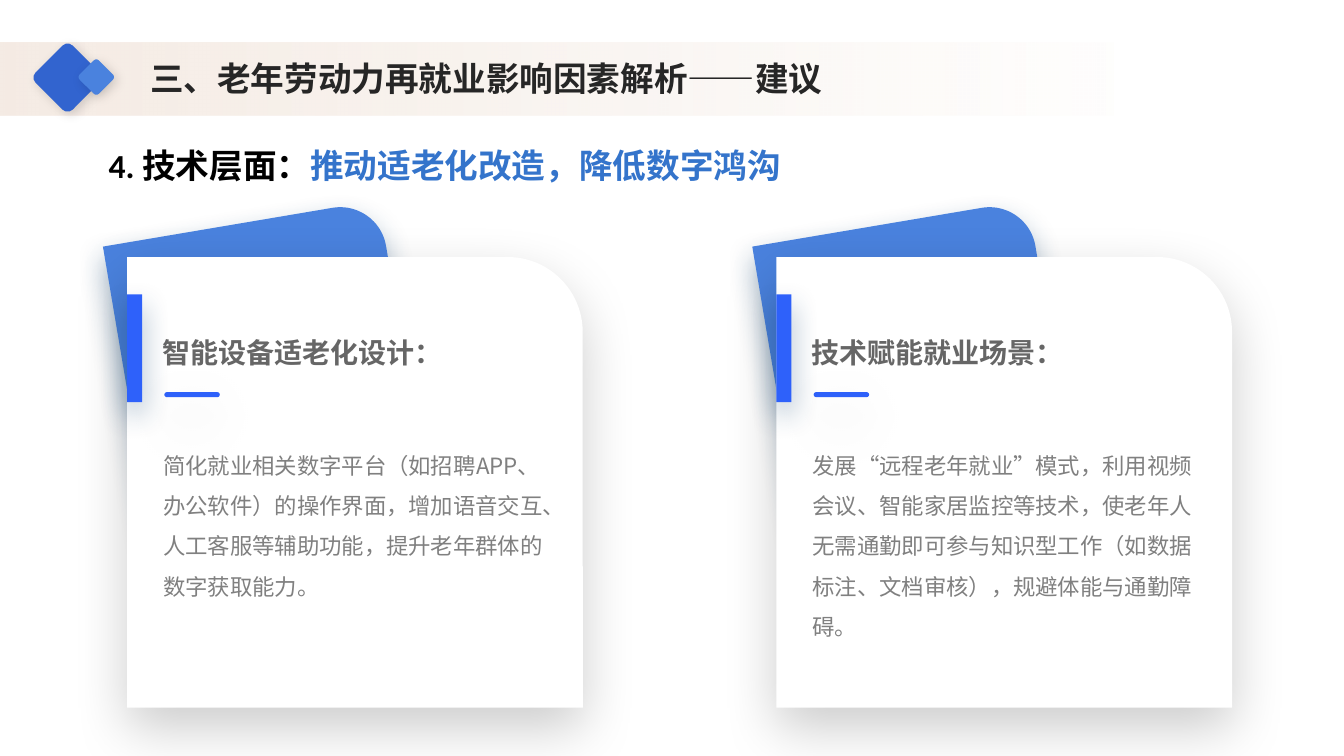
"""Build the slide on technology measures for older workers."""
from dataclasses import dataclass
from typing import Optional

from lxml import etree
from pptx import Presentation
from pptx.dml.color import RGBColor
from pptx.enum.shapes import MSO_SHAPE
from pptx.enum.text import MSO_AUTO_SIZE
from pptx.oxml.ns import qn
from pptx.util import Pt

PX = 9144
RECT = MSO_SHAPE.RECTANGLE
ROUNDED = MSO_SHAPE.ROUNDED_RECTANGLE
ONE_ROUND = MSO_SHAPE.ROUND_1_RECTANGLE
FIT = MSO_AUTO_SIZE.SHAPE_TO_FIT_TEXT

CJK = "Noto Sans CJK SC"
LATIN = "Calibri"
WHITE = RGBColor(0xFF, 0xFF, 0xFF)
BLACK = RGBColor(0x00, 0x00, 0x00)
SAND = RGBColor(0xE6, 0xCE, 0xBC)
DEEP_BLUE = RGBColor(0x32, 0x64, 0xCF)
SOFT_BLUE = RGBColor(0x4A, 0x82, 0xDE)
VIVID_BLUE = RGBColor(0x2E, 0x61, 0xFA)
TEXT_BLUE = RGBColor(0x34, 0x74, 0xCB)
NAVY = RGBColor(0x1F, 0x4E, 0x79)
TITLE_INK = RGBColor(0x26, 0x26, 0x26)
HEADING_GREY = RGBColor(0x66, 0x66, 0x66)
BODY_GREY = RGBColor(0x80, 0x80, 0x80)


@dataclass(frozen=True)
class Shadow:
    color: RGBColor
    alpha: int
    blur: int
    distance: int
    angle: int


@dataclass(frozen=True)
class Block:
    kind: int
    left: int
    top: int
    width: int
    height: int
    color: RGBColor
    shadow: Optional[Shadow] = None
    rotation: float = 0
    corner: Optional[float] = None


@dataclass(frozen=True)
class Label:
    left: int
    top: int
    width: int
    height: int
    runs: tuple[tuple[str, RGBColor], ...]
    size: int
    bold: bool = True
    font: str = CJK
    spacing: Optional[float] = None


@dataclass(frozen=True)
class Card:
    left: int
    heading: str
    body: str
    body_height: int


ICON_SHADOW = Shadow(BLACK, 15, 8, 3, 45)
NAVY_SHADOW = Shadow(NAVY, 40, 20, 9, 90)
WIDE_SHADOW = Shadow(BLACK, 20, 40, 15, 90)

ICON = (
    Block(ROUNDED, 41, 51, 52, 52, DEEP_BLUE, ICON_SHADOW, 45, 0.136),
    Block(ROUNDED, 82, 63, 27, 27, SOFT_BLUE, ICON_SHADOW, 45, 0.136),
)
BAND = Block(RECT, 0, 42, 1333, 73, SAND)
BAND_END = Block(RECT, 1105, 30, 217, 115, WHITE)
TITLE = Label(139, 53, 857, 50,
              (("三、老年劳动力再就业影响因素解析——建议", TITLE_INK),), 24)
SUBTITLE = Label(98, 139, 820, 50,
                 (("4. 技术层面：", BLACK),
                  ("推动适老化改造，降低数字鸿沟", TEXT_BLUE)), 24, font=LATIN)
CARDS = (
    Card(126, "智能设备适老化设计：",
         "简化就业相关数字平台（如招聘APP、办公软件）的操作界面，"
         "增加语音交互、人工客服等辅助功能，提升老年群体的数字获取能力。", 172),
    Card(770, "技术赋能就业场景：",
         "发展“远程老年就业”模式，利用视频会议、智能家居监控等技术，"
         "使老年人无需通勤即可参与知识型工作（如数据标注、文档审核），"
         "规避体能与通勤障碍。", 212),
)


def add_shadow(sp, shadow: Shadow) -> None:
    """Give a shape a soft outer shadow."""
    effects = sp._element.spPr.find(qn("a:effectLst"))
    outer = etree.SubElement(
        effects, qn("a:outerShdw"), blurRad=str(Pt(shadow.blur)),
        dist=str(Pt(shadow.distance)), dir=str(shadow.angle * 60000),
        algn="ctr", rotWithShape="0")
    color = etree.SubElement(outer, qn("a:srgbClr"), val=str(shadow.color))
    etree.SubElement(color, qn("a:alpha"), val=str(shadow.alpha * 1000))


def add_block(shapes, block: Block):
    """Draw a filled shape without an outline."""
    sp = shapes.add_shape(block.kind, block.left * PX, block.top * PX,
                          block.width * PX, block.height * PX)
    sp.rotation = block.rotation
    if block.corner is not None:
        sp.adjustments[0] = block.corner
    sp.fill.solid()
    sp.fill.fore_color.rgb = block.color
    sp.line.fill.background()
    sp.shadow.inherit = False
    if block.shadow:
        add_shadow(sp, block.shadow)
    return sp


def add_label(shapes, label: Label) -> None:
    """Draw a one-paragraph text box."""
    sp = shapes.add_textbox(label.left * PX, label.top * PX,
                            label.width * PX, label.height * PX)
    tf = sp.text_frame
    tf.word_wrap = True
    tf.auto_size = FIT
    p = tf.paragraphs[0]
    if label.spacing:
        p.line_spacing = label.spacing
    p.font.size = Pt(label.size)
    p.font.bold = label.bold
    p.font.name = label.font
    etree.SubElement(p._p.pPr.find(qn("a:defRPr")), qn("a:ea"), typeface=CJK)
    if len(label.runs) == 1:
        p.font.color.rgb = label.runs[0][1]
    for text, color in label.runs:
        r = p.add_run()
        r.text = text
        if len(label.runs) > 1:
            r.font.color.rgb = color


def add_band(shapes) -> None:
    """Draw the title band that fades out to the right."""
    sp = add_block(shapes, BAND)
    sp.fill.gradient()
    sp.fill.gradient_angle = 0
    for stop, position, alpha in zip(sp.fill.gradient_stops, (0, 0.87), (40, 0)):
        stop.position = position
        stop.color.rgb = SAND
    for color, alpha in zip(sp._element.spPr.iter(qn("a:srgbClr")), (40, 0)):
        etree.SubElement(color, qn("a:alpha"), val=str(alpha * 1000))


def add_card(shapes, card: Card) -> None:
    """Draw a grouped card with its heading and body."""
    x = card.left
    group = shapes.add_group_shape().shapes
    add_block(group, Block(ONE_ROUND, x + 5, 219, 277, 370, SOFT_BLUE,
                           NAVY_SHADOW, 350.4))
    add_block(group, Block(ONE_ROUND, x, 255, 452, 447, WHITE, WIDE_SHADOW))
    add_label(group, Label(x + 25, 328, 284, 44,
                           ((card.heading, HEADING_GREY),), 20))
    add_label(group, Label(x + 26, 430, 397, card.body_height,
                           ((card.body, BODY_GREY),), 16, False, spacing=1.5))
    add_block(group, Block(ROUNDED, x + 37, 389, 55, 5, VIVID_BLUE,
                           WIDE_SHADOW, corner=0.5))
    add_block(group, Block(RECT, x, 292, 15, 107, VIVID_BLUE, NAVY_SHADOW))


def main() -> None:
    """Assemble and save the slide."""
    prs = Presentation()
    prs.slide_width, prs.slide_height = 1333 * PX, 750 * PX
    shapes = prs.slides.add_slide(prs.slide_layouts[6]).shapes
    add_band(shapes)
    icon = shapes.add_group_shape().shapes
    for diamond in ICON:
        add_block(icon, diamond)
    for card in CARDS:
        add_card(shapes, card)
    add_block(shapes, BAND_END)
    for label in (TITLE, SUBTITLE):
        add_label(shapes, label)
    prs.save("out.pptx")


if __name__ == "__main__":
    main()
